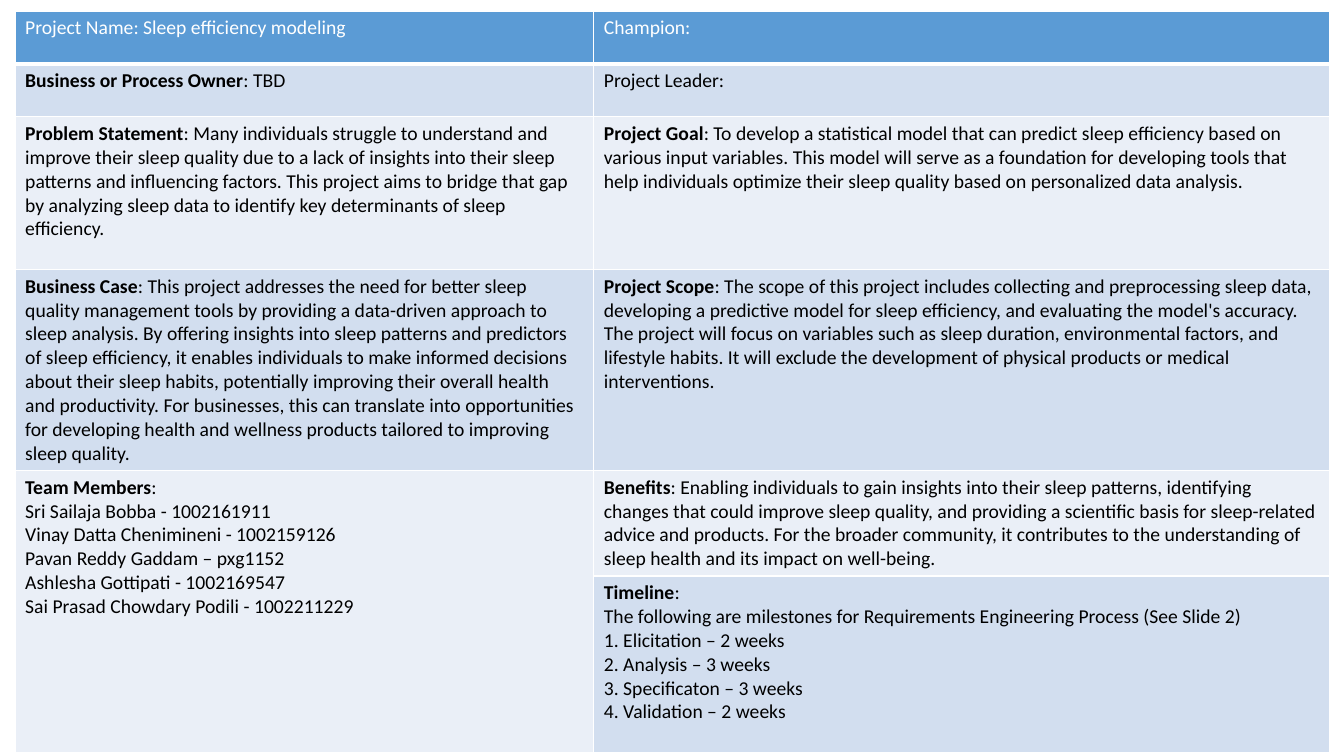
"""Build the one-page charter of the sleep efficiency project."""
from lxml import etree
from pptx import Presentation
from pptx import util as u
from pptx.dml.color import RGBColor
from pptx.oxml.ns import qn

CHARTER = [
    [("", ["Project Name: Sleep efficiency modeling"]),
     ("", ["Champion:"])],
    [("Business or Process Owner", [": TBD"]),
     ("", ["Project Leader:"])],
    [("Problem Statement", [
        ": Many individuals struggle to understand and improve their sleep quality due to a lack of "
        "insights into their sleep patterns and influencing factors. This project aims to bridge that "
        "gap by analyzing sleep data to identify key determinants of sleep efficiency."]),
     ("Project Goal", [
         ": To develop a statistical model that can predict sleep efficiency based on various input "
         "variables. This model will serve as a foundation for developing tools that help individuals "
         "optimize their sleep quality based on personalized data analysis."])],
    [("Business Case", [
        ": This project addresses the need for better sleep quality management tools by providing a "
        "data-driven approach to sleep analysis. By offering insights into sleep patterns and "
        "predictors of sleep efficiency, it enables individuals to make informed decisions about "
        "their sleep habits, potentially improving their overall health and productivity. For "
        "businesses, this can translate into opportunities for developing health and wellness "
        "products tailored to improving sleep quality."]),
     ("Project Scope", [
         ": The scope of this project includes collecting and preprocessing sleep data, developing a "
         "predictive model for sleep efficiency, and evaluating the model's accuracy. The project "
         "will focus on variables such as sleep duration, environmental factors, and lifestyle "
         "habits. It will exclude the development of physical products or medical interventions."])],
    [("Team Members", [
        ":",
        "Sri Sailaja Bobba - 1002161911",
        "Vinay Datta Chenimineni - 1002159126",
        "Pavan Reddy Gaddam – pxg1152",
        "Ashlesha Gottipati - 1002169547",
        "Sai Prasad Chowdary Podili - 1002211229"]),
     ("Benefits", [
         ": Enabling individuals to gain insights into their sleep patterns, identifying changes that "
         "could improve sleep quality, and providing a scientific basis for sleep-related advice and "
         "products. For the broader community, it contributes to the understanding of sleep health "
         "and its impact on well-being."])],
    [None,
     ("Timeline", [
         ":",
         "The following are milestones for Requirements Engineering Process (See Slide 2)",
         "1. Elicitation – 2 weeks",
         "2. Analysis – 3 weeks",
         "3. Specificaton – 3 weeks",
         "4. Validation – 2 weeks"])],
]
HEADER, BANDS = "5B9BD5", ("EAEFF7", "D2DEEF")
WHITE, BLACK = "FFFFFF", "000000"
FONT, SIZE = "Calibri", 14
WIDTH, HEIGHT = 13.33, 7.5
LEFT, TOP = 0.15, 0.11
COLUMNS = (5.74, 7.3)
ROW_LINES = (1.8, 1.8, 6, 8, 4, 7)
LINE, PADDING = 0.236, 0.1


def color(value):
    """Turn a hex string into a colour."""
    return RGBColor.from_string(value)


def add_span(para, words, ink, bold=False):
    """Add one styled run."""
    span = para.add_run()
    span.text = words
    span.font.name, span.font.size = FONT, u.Pt(SIZE)
    span.font.bold, span.font.color.rgb = bold, color(ink)


def add_borders(cell, bottom):
    """Draw white borders, the lower one with its own width."""
    properties = cell._tc.get_or_add_tcPr()
    for side, points in (("L", 1), ("R", 1), ("T", 1), ("B", bottom)):
        line = etree.SubElement(properties, qn("a:ln" + side), w=str(u.Pt(points)))
        fill = etree.SubElement(line, qn("a:solidFill"))
        etree.SubElement(fill, qn("a:srgbClr"), val=WHITE)


def fill_cell(cell, entry, row):
    """Style one cell and write its label and lines."""
    add_borders(cell, 1 if row else 3)
    cell.fill.solid()
    cell.fill.fore_color.rgb = color(BANDS[row % 2] if row else HEADER)
    if entry is None:
        return
    label, lines = entry
    ink = BLACK if row else WHITE
    for index, words in enumerate(lines):
        para = cell.text_frame.add_paragraph() if index else cell.text_frame.paragraphs[0]
        if label and index == 0:
            add_span(para, label, ink, bold=True)
        add_span(para, words, ink)


def main():
    """Lay out the charter table and save the deck."""
    deck = Presentation()
    deck.slide_width, deck.slide_height = u.Inches(WIDTH), u.Inches(HEIGHT)
    page = deck.slides.add_slide(deck.slide_layouts[6])
    heights = [lines * LINE + PADDING for lines in ROW_LINES]
    table = page.shapes.add_table(
        len(heights), len(COLUMNS),
        *map(u.Inches, (LEFT, TOP, sum(COLUMNS), sum(heights)))).table
    for column, width in zip(table.columns, COLUMNS):
        column.width = u.Inches(width)
    for row, (entries, height) in enumerate(zip(CHARTER, heights)):
        table.rows[row].height = u.Inches(height)
        for column, entry in enumerate(entries):
            fill_cell(table.cell(row, column), entry, row)
    table.cell(4, 0).merge(table.cell(5, 0))
    deck.save("out.pptx")


if __name__ == "__main__":
    main()
